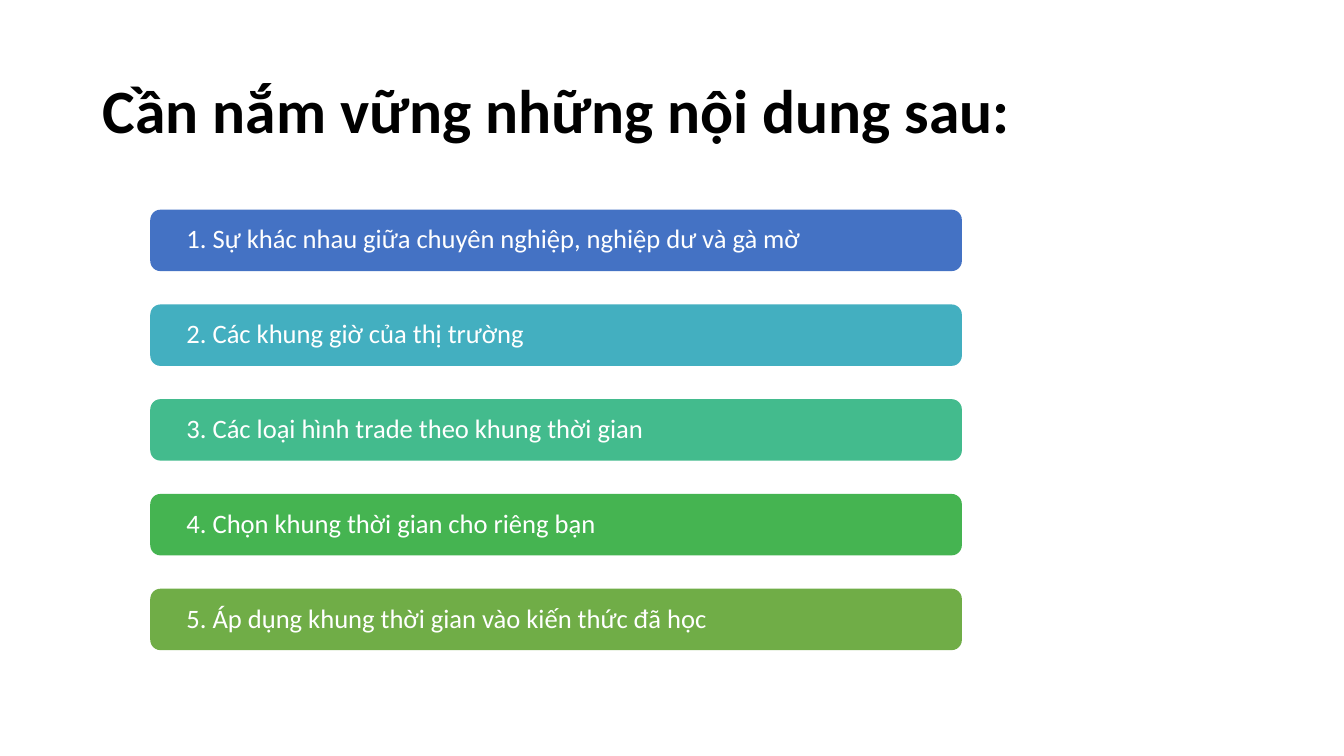
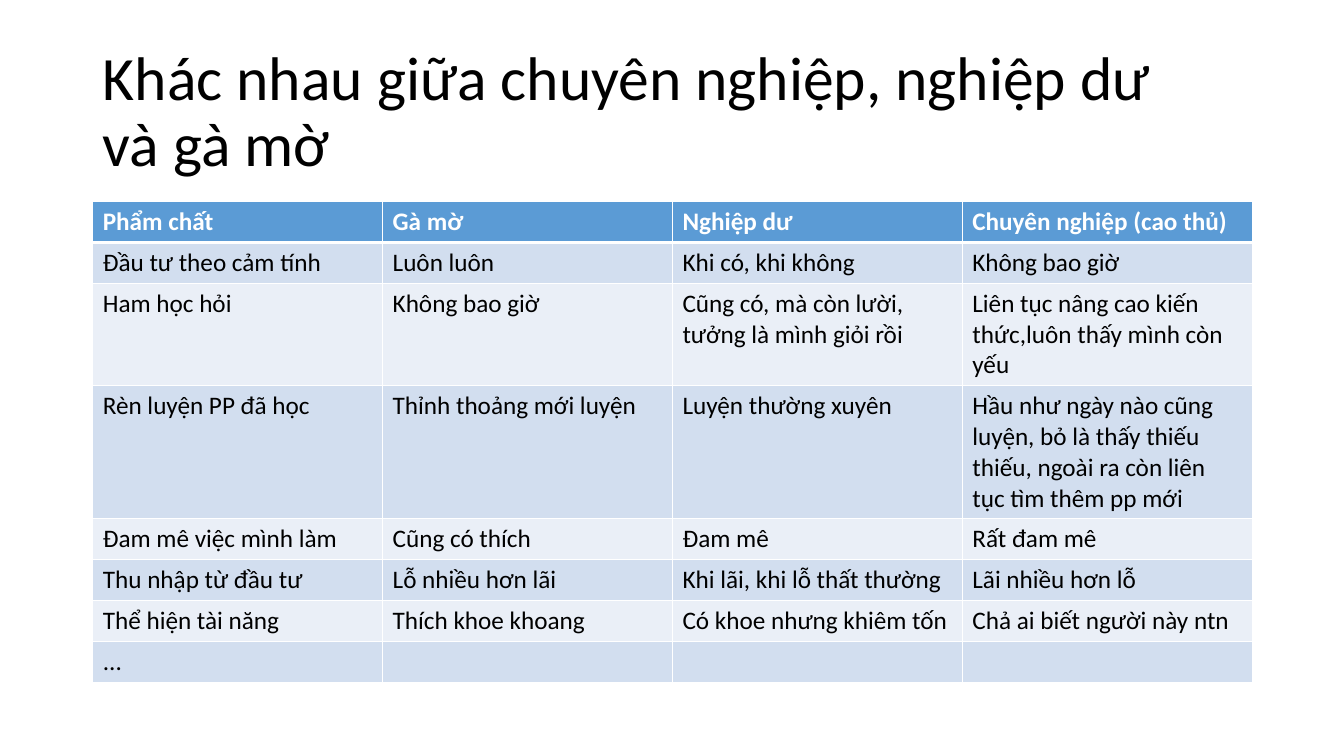
from lxml.etree import SubElement
from pptx import Presentation
from pptx.dml.color import RGBColor
from pptx.enum.shapes import MSO_SHAPE
from pptx.enum.text import MSO_ANCHOR, MSO_AUTO_SIZE, PP_ALIGN
from pptx.oxml.ns import qn
from pptx.util import Inches, Pt

TOPICS = [
    ("1. Sự khác nhau giữa chuyên nghiệp, nghiệp dư và gà mờ", "4472C4"),
    ("2. Các khung giờ của thị trường", "43AFC0"),
    ("3. Các loại hình trade theo khung thời gian", "43BB8D"),
    ("4. Chọn khung thời gian cho riêng bạn", "45B451"),
    ("5. Áp dụng khung thời gian vào kiến thức đã học", "70AD47"),
]

TRADERS = [
    ["Phẩm chất", "Gà mờ", "Nghiệp dư", "Chuyên nghiệp (cao thủ)"],
    ["Đầu tư theo cảm tính", "Luôn luôn", "Khi có, khi không", "Không bao giờ"],
    ["Ham học hỏi", "Không bao giờ", "Cũng có, mà còn lười, tưởng là mình giỏi rồi",
     "Liên tục nâng cao kiến thức,luôn thấy mình còn yếu"],
    ["Rèn luyện PP đã học", "Thỉnh thoảng mới luyện", "Luyện thường xuyên",
     "Hầu như ngày nào cũng luyện, bỏ là thấy thiếu thiếu, ngoài ra còn liên tục tìm thêm pp mới"],
    ["Đam mê việc mình làm", "Cũng có thích", "Đam mê", "Rất đam mê"],
    ["Thu nhập từ đầu tư", "Lỗ nhiều hơn lãi", "Khi lãi, khi lỗ thất thường", "Lãi nhiều hơn lỗ"],
    ["Thể hiện tài năng", "Thích khoe khoang", "Có khoe nhưng khiêm tốn", "Chả ai biết người này ntn"],
    ["...", "", "", ""],
]
ROW_HEIGHTS = [0.4, 0.4, 1.01, 1.32, 0.4, 0.4, 0.4, 0.4]


def color(value):
    return RGBColor.from_string(value)


def assign(target, values):
    for name, value in values.items():
        setattr(target, name, value)


class SlideBuilder:
    font = "Calibri"
    left, width = 0.92, 11.5
    white, black = "FFFFFF", "000000"
    header, bands = "5B9BD5", ("EAEFF7", "D2DEEF")

    def __init__(self, deck):
        self.deck = deck
        self.page = None

    def put_text(self, frame, text, size, tint, bold=False, spacing=1.0):
        para = frame.paragraphs[0]
        para.text = text
        assign(para, {"alignment": PP_ALIGN.LEFT, "line_spacing": spacing})
        for span in para.runs:
            assign(span.font, {"name": self.font, "size": Pt(size), "bold": bold})
            span.font.color.rgb = color(tint)

    def start(self, title, bold=False):
        self.page = self.deck.slides.add_slide(self.deck.slide_layouts[5])
        box = self.page.shapes.title
        assign(box, {"left": Inches(self.left), "top": Inches(0.4),
                     "width": Inches(self.width), "height": Inches(1.45)})
        assign(box.text_frame, {"auto_size": MSO_AUTO_SIZE.NONE, "word_wrap": True,
                                "vertical_anchor": MSO_ANCHOR.MIDDLE})
        self.put_text(box.text_frame, title, 44, self.black, bold, 0.9)

    def bar(self, top, text, fill):
        box = self.page.shapes.add_shape(MSO_SHAPE.ROUNDED_RECTANGLE, Inches(1.49), Inches(top),
                                         Inches(8.05), Inches(0.61))
        box.shadow.inherit = False
        box.fill.solid()
        box.fill.fore_color.rgb = color(fill)
        box.line.fill.background()
        assign(box.text_frame, {"margin_left": Inches(0.33), "margin_right": Inches(0.33),
                                "margin_top": 0, "margin_bottom": 0, "word_wrap": True,
                                "vertical_anchor": MSO_ANCHOR.MIDDLE})
        self.put_text(box.text_frame, text, 19, self.white, spacing=0.9)

    def borders(self, cell, widths):
        properties = cell._tc.get_or_add_tcPr()
        for side, width in widths.items():
            line = SubElement(properties, qn(f"a:ln{side}"), w=str(Pt(width)))
            fill = SubElement(line, qn("a:solidFill"))
            SubElement(fill, qn("a:srgbClr"), val=self.white)

    def table(self, top, rows, heights):
        columns = len(rows[0])
        grid = self.page.shapes.add_table(len(rows), columns, Inches(self.left), Inches(top),
                                          Inches(self.width), Inches(sum(heights))).table
        for column in grid.columns:
            column.width = Inches(self.width / columns)
        for index, (texts, height) in enumerate(zip(rows, heights)):
            grid.rows[index].height = Inches(height)
            heading = index == 0
            for position, text in enumerate(texts):
                cell = grid.cell(index, position)
                self.borders(cell, {"L": 1, "R": 1, "T": 3 if index == 1 else 1,
                                    "B": 3 if heading else 1})
                cell.fill.solid()
                cell.fill.fore_color.rgb = color(self.header if heading else self.bands[index % 2])
                self.put_text(cell.text_frame, text, 18, self.white if heading else self.black, heading)


def main():
    deck = Presentation()
    assign(deck, {"slide_width": Inches(13.33), "slide_height": Inches(7.5)})
    builder = SlideBuilder(deck)

    builder.start("Cần nắm vững những nội dung sau:", bold=True)
    for index, (text, fill) in enumerate(TOPICS):
        builder.bar(2.08 + 0.94 * index, text, fill)

    builder.start("Khác nhau giữa chuyên nghiệp, nghiệp dư\vvà gà mờ")
    builder.table(2, TRADERS, ROW_HEIGHTS)

    deck.save("out.pptx")


if __name__ == "__main__":
    main()
